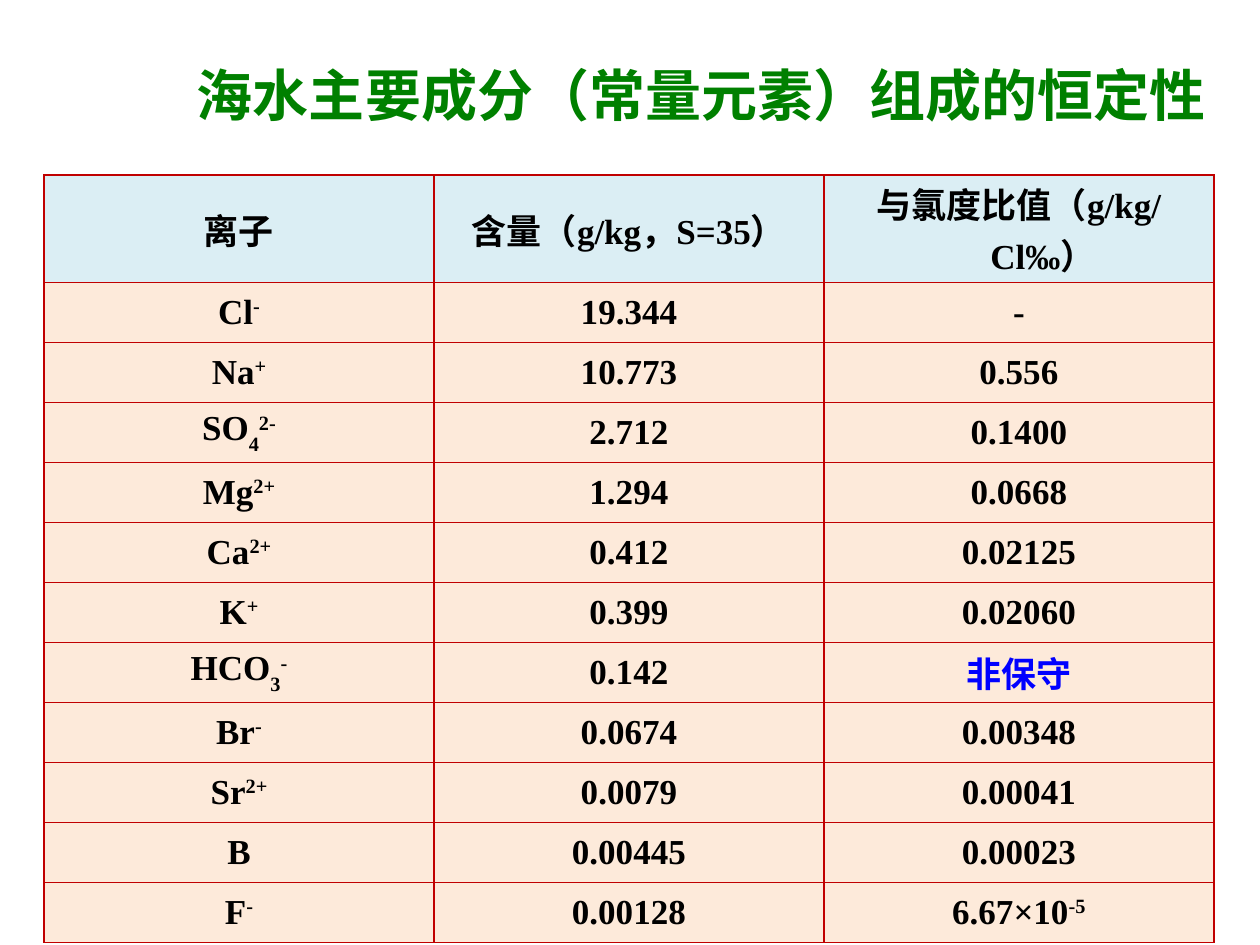
from lxml import etree
from pptx import Presentation
from pptx.dml.color import RGBColor
from pptx.enum.text import MSO_ANCHOR, MSO_AUTO_SIZE, PP_ALIGN
from pptx.oxml.ns import qn
from pptx.util import Pt

PX = 914400 // 126
INDENT = 48 * PX
FONT = "Times New Roman"
CENTER, LEFT = PP_ALIGN.CENTER, PP_ALIGN.LEFT
TOP, MIDDLE = MSO_ANCHOR.TOP, MSO_ANCHOR.MIDDLE
COLORS = {"title": "008000", "text": "000000", "note": "0000FF",
          "header": "DBEEF4", "body": "FDEADA", "border": "C00000"}

# Cell text: a string, or (base, subscript, superscript)
ROWS = [
    ("离子", "含量（g/kg，S=35）", "与氯度比值（g/kg/Cl‰）"),
    (("Cl", "", "-"), "19.344", "-"),
    (("Na", "", "+"), "10.773", "0.556"),
    (("SO", "4", "2-"), "2.712", "0.1400"),
    (("Mg", "", "2+"), "1.294", "0.0668"),
    (("Ca", "", "2+"), "0.412", "0.02125"),
    (("K", "", "+"), "0.399", "0.02060"),
    (("HCO", "3", "-"), "0.142", "非保守"),
    (("Br", "", "-"), "0.0674", "0.00348"),
    (("Sr", "", "2+"), "0.0079", "0.00041"),
    ("B", "0.00445", "0.00023"),
    (("F", "", "-"), "0.00128", ("6.67×10", "", "-5")),
]


def write(paragraph, content, size, color, align):
    """Fill a paragraph with bold runs, lowering and raising parts of a formula."""
    paragraph.alignment = align
    properties = paragraph._p.get_or_add_pPr()
    properties.set("marL", str(INDENT))
    properties.set("indent", str(-INDENT))
    parts = (content, "", "") if isinstance(content, str) else content
    for part, baseline in zip(parts, (0, -30000, 30000)):
        if not part:
            continue
        run = paragraph.add_run()
        run.text = part
        run.font.size = Pt(size)
        run.font.name = FONT
        run.font.bold = True
        run.font.color.rgb = RGBColor.from_string(COLORS[color])
        if baseline:
            run._r.get_or_add_rPr().set("baseline", str(baseline))


def add_borders(cell):
    """Draw a thin line on all four sides of a cell."""
    properties = cell._tc.get_or_add_tcPr()
    for side in ("a:lnL", "a:lnR", "a:lnT", "a:lnB"):
        line = etree.SubElement(properties, qn(side), w=str(Pt(1)))
        fill = etree.SubElement(line, qn("a:solidFill"))
        etree.SubElement(fill, qn("a:srgbClr"), val=COLORS["border"])


prs = Presentation()
prs.slide_width, prs.slide_height = 1260 * PX, 945 * PX
slide = prs.slides.add_slide(prs.slide_layouts[5])

# Title
title = slide.shapes.title
title.left, title.top, title.width, title.height = 194 * PX, 55 * PX, 1142 * PX, 74 * PX
frame = title.text_frame
frame.word_wrap = True
frame.auto_size = MSO_AUTO_SIZE.NONE
frame.vertical_anchor = TOP
frame.margin_left = frame.margin_right = 3 * PX
frame.margin_top, frame.margin_bottom = 5 * PX, PX
write(frame.paragraphs[0], "海水主要成分（常量元素）组成的恒定性", 32, "title", LEFT)

# Ion table
HEADER_H, ROW_H, COLUMN_W = 83, 60, 390
table = slide.shapes.add_table(
    len(ROWS), 3, 44 * PX, 175 * PX, 3 * COLUMN_W * PX,
    (HEADER_H + ROW_H * (len(ROWS) - 1)) * PX).table
table.first_row = table.horz_banding = False
for column in table.columns:
    column.width = COLUMN_W * PX
for r, contents in enumerate(ROWS):
    table.rows[r].height = (ROW_H if r else HEADER_H) * PX
    for c, content in enumerate(contents):
        cell = table.cell(r, c)
        cell.vertical_anchor = MIDDLE
        cell.margin_left = cell.margin_right = 3 * PX
        cell.margin_top = cell.margin_bottom = 3 * PX
        add_borders(cell)
        cell.fill.solid()
        cell.fill.fore_color.rgb = RGBColor.from_string(COLORS["body" if r else "header"])
        color = "note" if content == "非保守" else "text"
        write(cell.text_frame.paragraphs[0], content, 20, color, CENTER)

prs.save("out.pptx")
